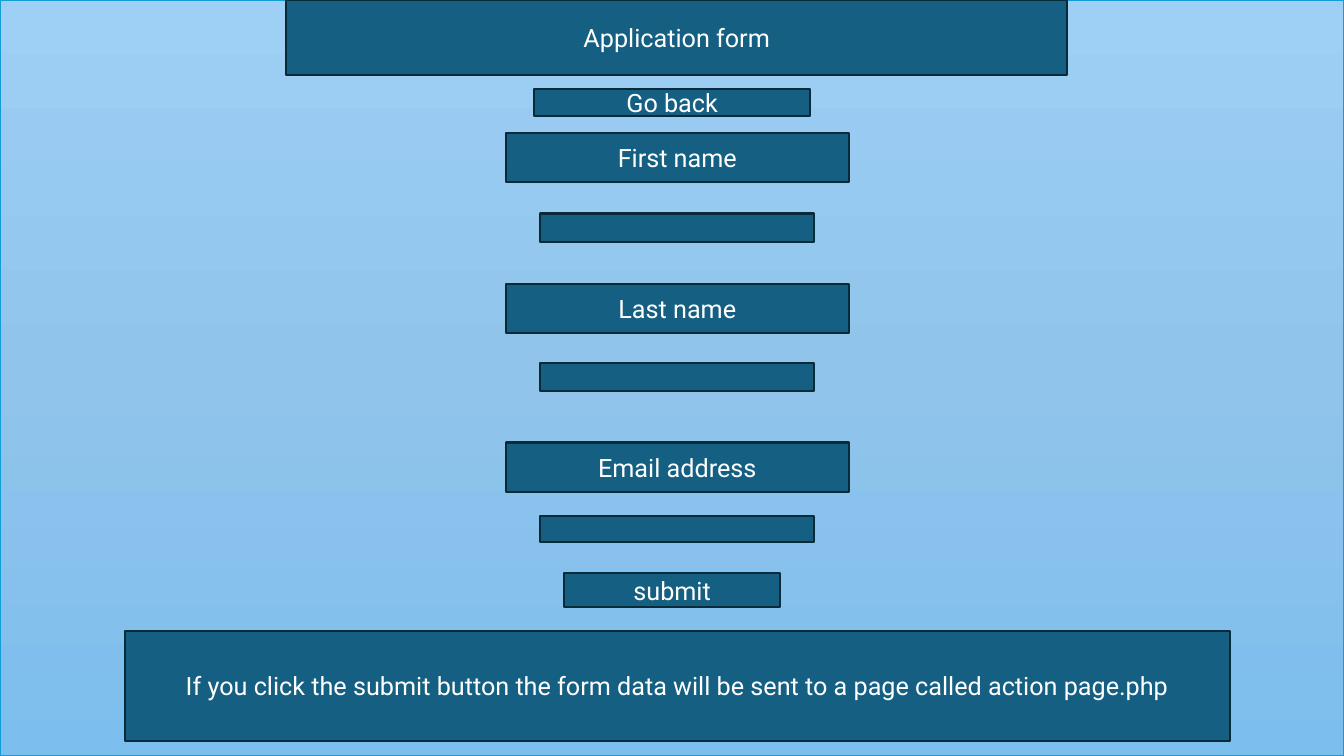
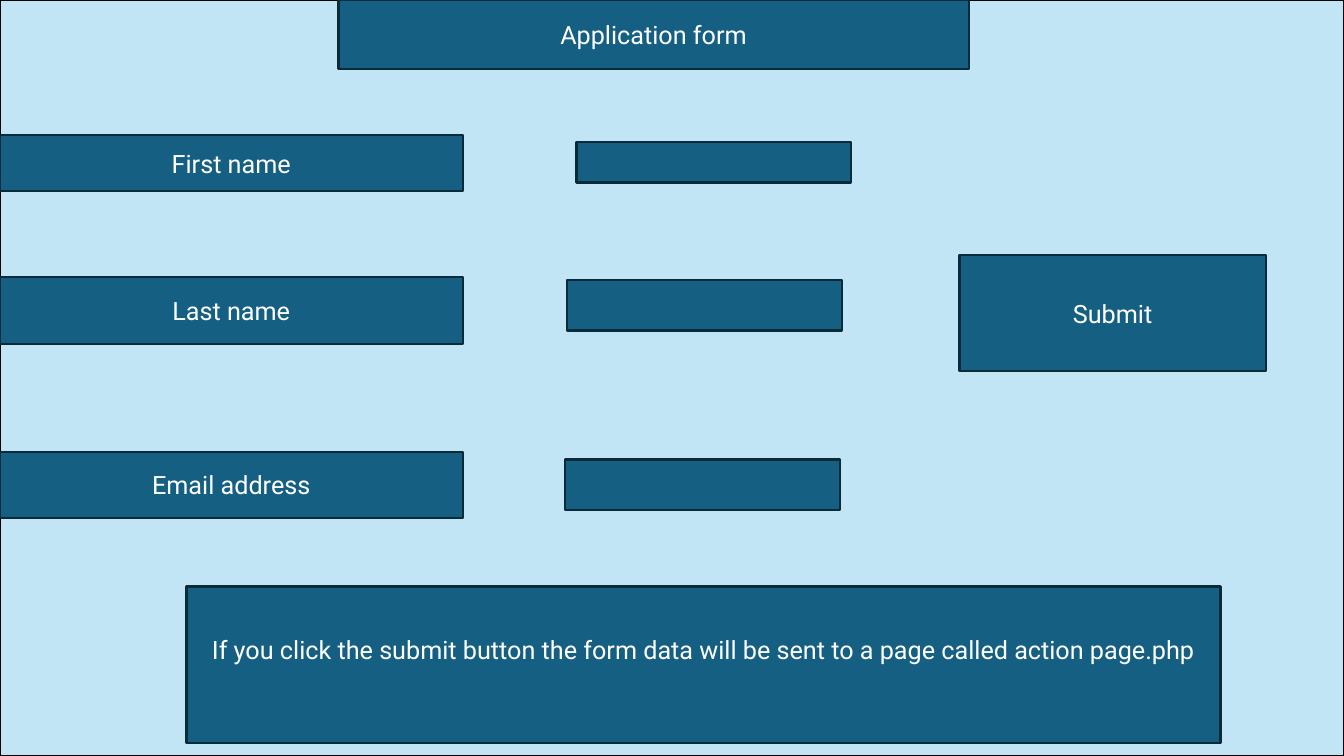
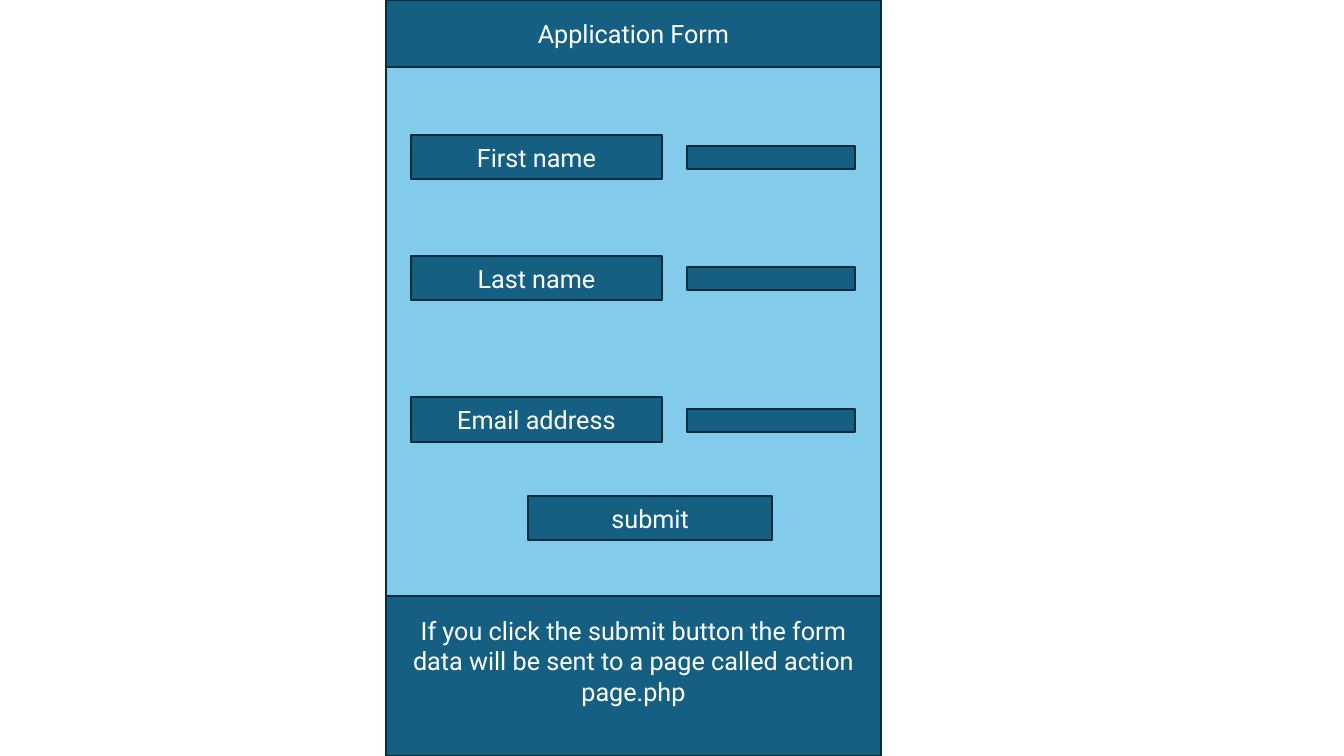
from copy import deepcopy
from dataclasses import dataclass

from pptx import Presentation
from pptx.dml.color import RGBColor
from pptx.enum.shapes import MSO_SHAPE
from pptx.enum.text import MSO_ANCHOR, MSO_AUTO_SIZE, PP_ALIGN
from pptx.oxml.ns import qn
from pptx.util import Cm, Pt


@dataclass(frozen=True)
class Theme:
    font: str = "Roboto"
    text_size: float = 18
    text: str = "FFFFFF"
    panel: str = "156082"
    outline: str = "092A39"
    outline_width: float = 1.5


THEME = Theme()
WIDTH, HEIGHT = 33.87, 19.05
FIELDS = ("First name", "Last name", "Email address")
NOTE = ("If you click the submit button the form data will be sent "
        "to a page called action page.php")

FORMS = [
    {
        "backdrop": (0, 0, WIDTH, HEIGHT),
        "backdrop_colors": ("9ECFF5", "90C4EB", "7CBEED"),
        "backdrop_line": ("0F9ED5", 1),
        "title": ("Application form", (7.21, 0, 19.69, 1.88)),
        "label_column": (12.75, 8.64),
        "label_rows": [(3.35, 1.24), (7.16, 1.24), (11.15, 1.24)],
        "input_width": 6.91,
        "input_rows": [(13.61, 5.38, 0.71), (13.61, 9.14, 0.71), (13.61, 13, 0.66)],
        "buttons": [("submit", (14.22, 14.45, 5.44, 0.84)),
                    ("Go back", (13.46, 2.24, 6.96, 0.69))],
        "note": (3.15, 15.9, 27.84, 2.77),
        "note_bottom_inset": 0.13,
    },
    {
        "backdrop": (0, 0, WIDTH, HEIGHT),
        "backdrop_colors": ("C1E5F5",),
        "backdrop_line": ("000000", 1.5),
        "title": ("Application form", (8.53, 0, 15.88, 1.73)),
        "label_column": (0, 11.66),
        "label_rows": [(3.4, 1.42), (6.99, 1.68), (11.38, 1.68)],
        "input_width": 6.91,
        "input_rows": [(14.53, 3.58, 1.02), (14.3, 7.06, 1.27), (14.25, 11.58, 1.27)],
        "buttons": [("Submit", (24.18, 6.43, 7.72, 2.92))],
        "note": (4.7, 14.78, 26.06, 3.94),
        "note_bottom_inset": 0.88,
    },
    {
        "backdrop": (9.73, 0.84, 12.47, 18.21),
        "backdrop_colors": ("83CBEB",),
        "backdrop_line": (THEME.outline, THEME.outline_width),
        "title": ("Application Form", (9.73, 0, 12.47, 1.7)),
        "label_column": (10.36, 6.32),
        "label_rows": [(3.4, 1.12), (6.45, 1.12), (10.01, 1.12)],
        "input_width": 4.24,
        "input_rows": [(17.32, 3.68, 0.58), (17.32, 6.73, 0.58), (17.32, 10.31, 0.58)],
        "buttons": [("submit", (13.31, 12.5, 6.15, 1.12))],
        "note": (9.73, 15.01, 12.47, 4.04),
        "note_bottom_inset": 0.88,
    },
]


def paint(shape, colors, line_color, line_width):
    if len(colors) == 1:
        shape.fill.solid()
        shape.fill.fore_color.rgb = RGBColor.from_string(colors[0])
    else:
        shape.fill.gradient()
        shape.fill.gradient_angle = 270
        stops = shape.element.spPr.find(qn("a:gradFill")).find(qn("a:gsLst"))
        while len(stops) < len(colors):
            stops.append(deepcopy(stops[0]))
        for index, (stop, color) in enumerate(zip(shape.fill.gradient_stops, colors)):
            stop.position = index / (len(colors) - 1)
            stop.color.rgb = RGBColor.from_string(color)
    shape.line.color.rgb = RGBColor.from_string(line_color)
    shape.line.width = Pt(line_width)


def write(shape, text):
    frame = shape.text_frame
    frame.word_wrap = True
    frame.auto_size = MSO_AUTO_SIZE.NONE
    frame.vertical_anchor = MSO_ANCHOR.MIDDLE
    paragraph = frame.paragraphs[0]
    paragraph.alignment = PP_ALIGN.CENTER
    run = paragraph.add_run()
    run.text = text
    run.font.name = THEME.font
    run.font.size = Pt(THEME.text_size)
    run.font.color.rgb = RGBColor.from_string(THEME.text)


def add_box(slide, box):
    shape = slide.shapes.add_shape(MSO_SHAPE.RECTANGLE, *map(Cm, box))
    shape.shadow.inherit = False
    return shape


def style_panel(panel, text):
    paint(panel, (THEME.panel,), THEME.outline, THEME.outline_width)
    if text:
        write(panel, text)


def add_panel(slide, box, text=""):
    panel = add_box(slide, box)
    style_panel(panel, text)
    return panel


def place_title(slide, backdrop, text, box):
    title = slide.shapes.title
    title.left, title.top, title.width, title.height = map(Cm, box)
    style_panel(title, text)
    backdrop.element.addnext(title.element)


def build_form(slide, form):
    backdrop = add_box(slide, form["backdrop"])
    paint(backdrop, form["backdrop_colors"], *form["backdrop_line"])
    place_title(slide, backdrop, *form["title"])
    label_left, label_width = form["label_column"]
    rows = zip(FIELDS, form["label_rows"], form["input_rows"])
    for name, (label_top, label_height), (left, top, height) in rows:
        add_panel(slide, (label_left, label_top, label_width, label_height), name)
        add_panel(slide, (left, top, form["input_width"], height))
    note = add_panel(slide, form["note"], NOTE)
    note.text_frame.margin_bottom = Cm(form["note_bottom_inset"])
    for caption, box in form["buttons"]:
        add_panel(slide, box, caption)


def main():
    deck = Presentation()
    deck.slide_width, deck.slide_height = Cm(WIDTH), Cm(HEIGHT)
    title_only = deck.slide_layouts.get_by_name("Title Only")
    for form in FORMS:
        build_form(deck.slides.add_slide(title_only), form)
    deck.save("out.pptx")


if __name__ == "__main__":
    main()
